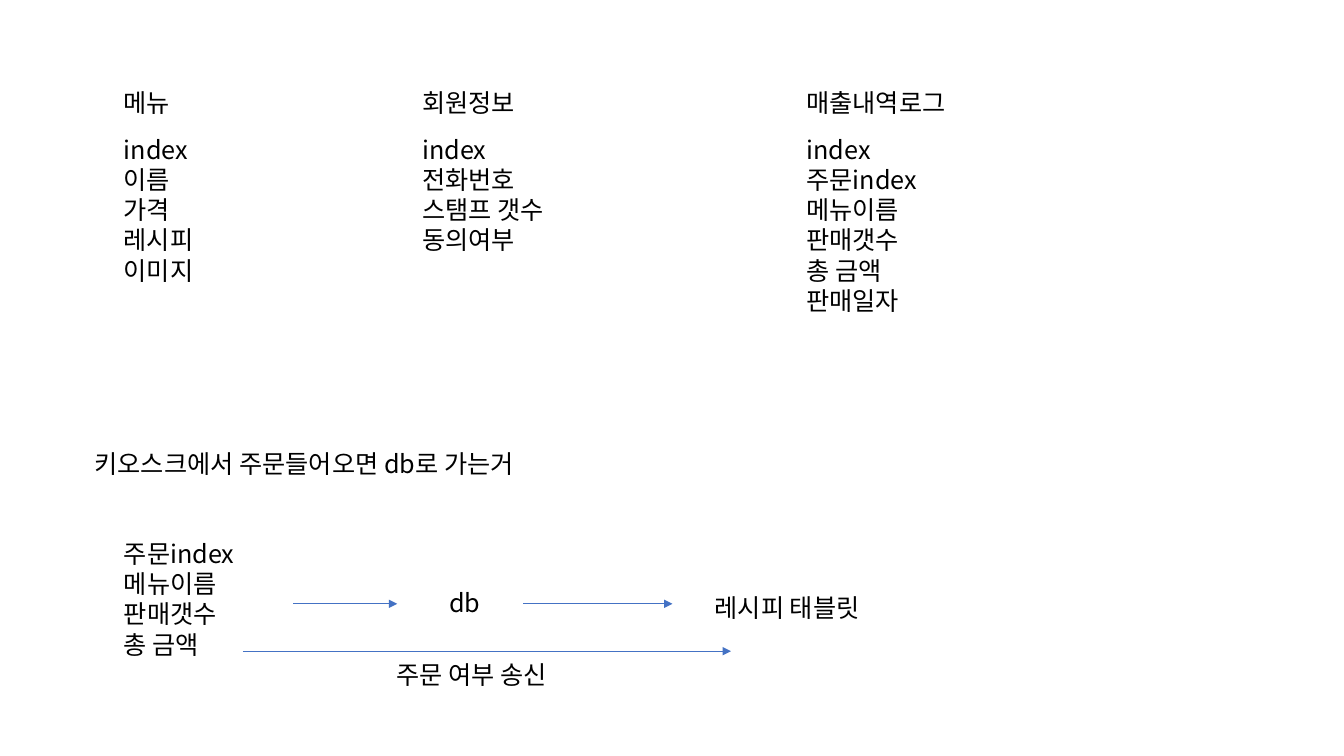
from lxml.etree import SubElement
from pptx import Presentation
from pptx.dml.color import RGBColor
from pptx.enum.shapes import MSO_CONNECTOR
from pptx.enum.text import MSO_AUTO_SIZE, PP_ALIGN
from pptx.oxml.ns import qn
from pptx.util import Inches, Pt

COLORS = {"text": "000000", "arrow": "4472C4"}
FONT = "Noto Sans CJK KR"
CELL = 0.1  # inches per grid column and row
LINE = 3    # grid rows per line of text


class Board:
    """Holds the style and the current slide."""

    def __init__(self, deck):
        self.slide = deck.slides.add_slide(deck.slide_layouts[6])

    def cells(self, *counts):
        return [Inches(count * CELL) for count in counts]

    def text(self, col, row, wide, lines, align=PP_ALIGN.LEFT):
        high = LINE * len(lines) + 1
        box = self.slide.shapes.add_textbox(*self.cells(col, row, wide, high))
        frame = box.text_frame
        frame.word_wrap = True
        frame.auto_size = MSO_AUTO_SIZE.SHAPE_TO_FIT_TEXT
        frame.text = "\n".join(lines)
        for para in frame.paragraphs:
            para.alignment = align
            para.line_spacing = Inches(LINE * CELL)
            para.font.name = FONT
            para.font.size = Pt(18)
            para.font.color.rgb = RGBColor.from_string(COLORS["text"])
            for run in para.runs:
                props = run._r.get_or_add_rPr()
                SubElement(props, qn("a:latin"), typeface=FONT)
                SubElement(props, qn("a:ea"), typeface=FONT)

    def arrow(self, start, end, row):
        link = self.slide.shapes.add_connector(
            MSO_CONNECTOR.STRAIGHT, *self.cells(start, row, end, row))
        link.line.width = Pt(0.5)
        link.line.color.rgb = RGBColor.from_string(COLORS["arrow"])
        SubElement(link.line._get_or_add_ln(), qn("a:tailEnd"), type="triangle")
        SubElement(link._element.spPr, qn("a:effectLst"))


deck = Presentation()
deck.slide_width, deck.slide_height = Inches(13.33), Inches(7.5)
board = Board(deck)

# Database tables: column, width, name, fields
order = ["주문index", "메뉴이름", "판매갯수", "총 금액"]
tables = [
    (11.3, 32, "메뉴", ["index", "이름", "가격", "레시피", "이미지"]),
    (40.9, 24.6, "회원정보", ["index", "전화번호", "스탬프 갯수", "동의여부"]),
    (79, 22, "매출내역로그", ["index", *order, "판매일자"]),
]
for col, wide, name, fields in tables:
    board.text(col, 8.2, wide, [name])
    board.text(col, 12.8, wide, fields)

# Order flow from kiosk to database to tablet
board.text(8.4, 44, 49, ["키오스크에서 주문들어오면 db로 가는거"])
board.text(11.3, 52.9, 14.2, order)
board.text(39, 57.8, 14.2, ["db"], PP_ALIGN.CENTER)
board.text(69.9, 58.3, 18.1, ["레시피 태블릿"])
board.text(38.3, 64.9, 18.8, ["주문 여부 송신"])

# Arrows: start, end, row
for start, end, row in [(29.1, 39.4, 59.9), (51.9, 66.7, 59.9), (24.1, 72.5, 64.6)]:
    board.arrow(start, end, row)

deck.save("out.pptx")
